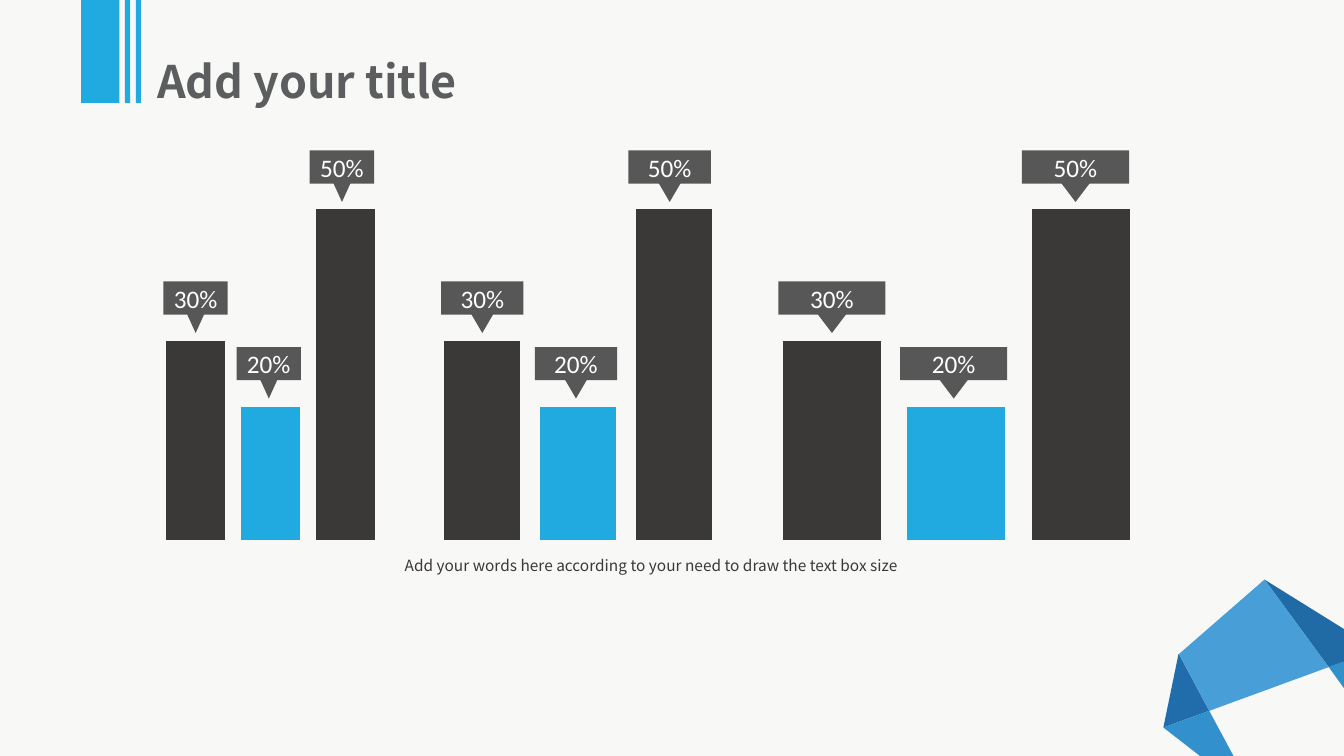
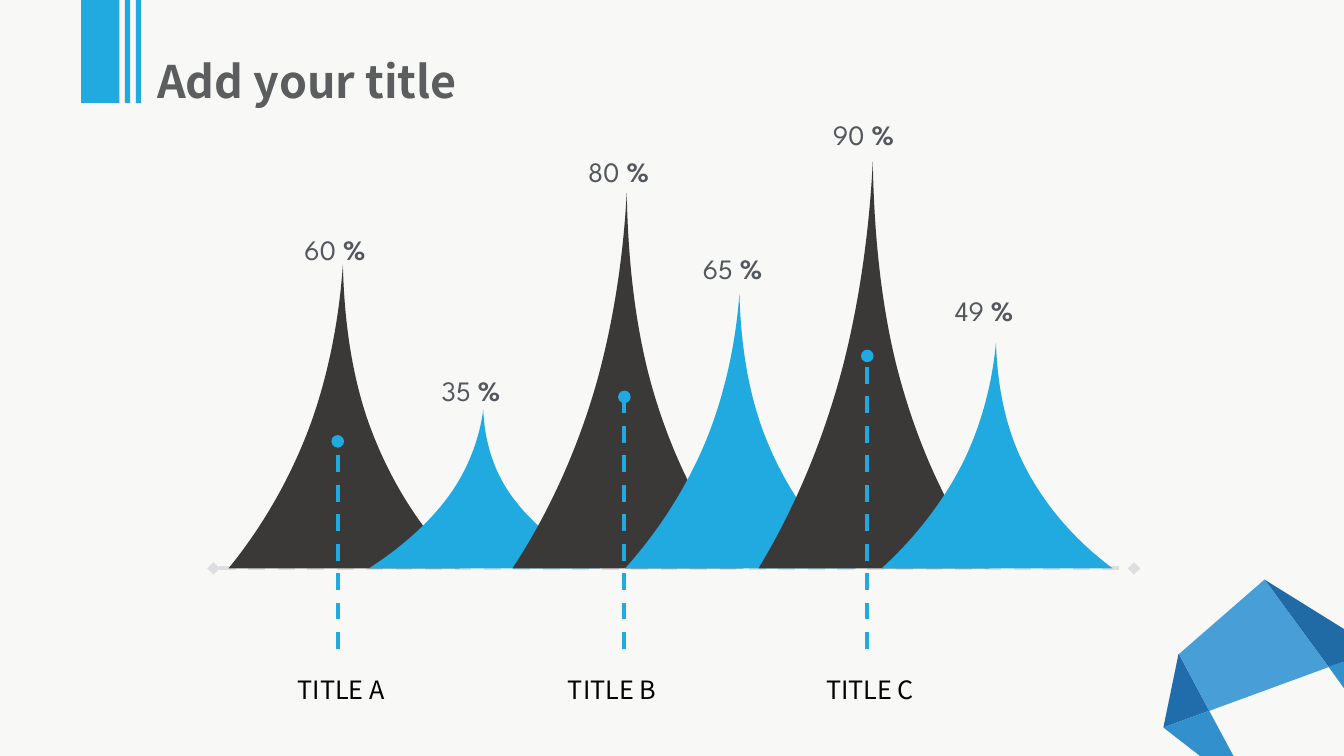
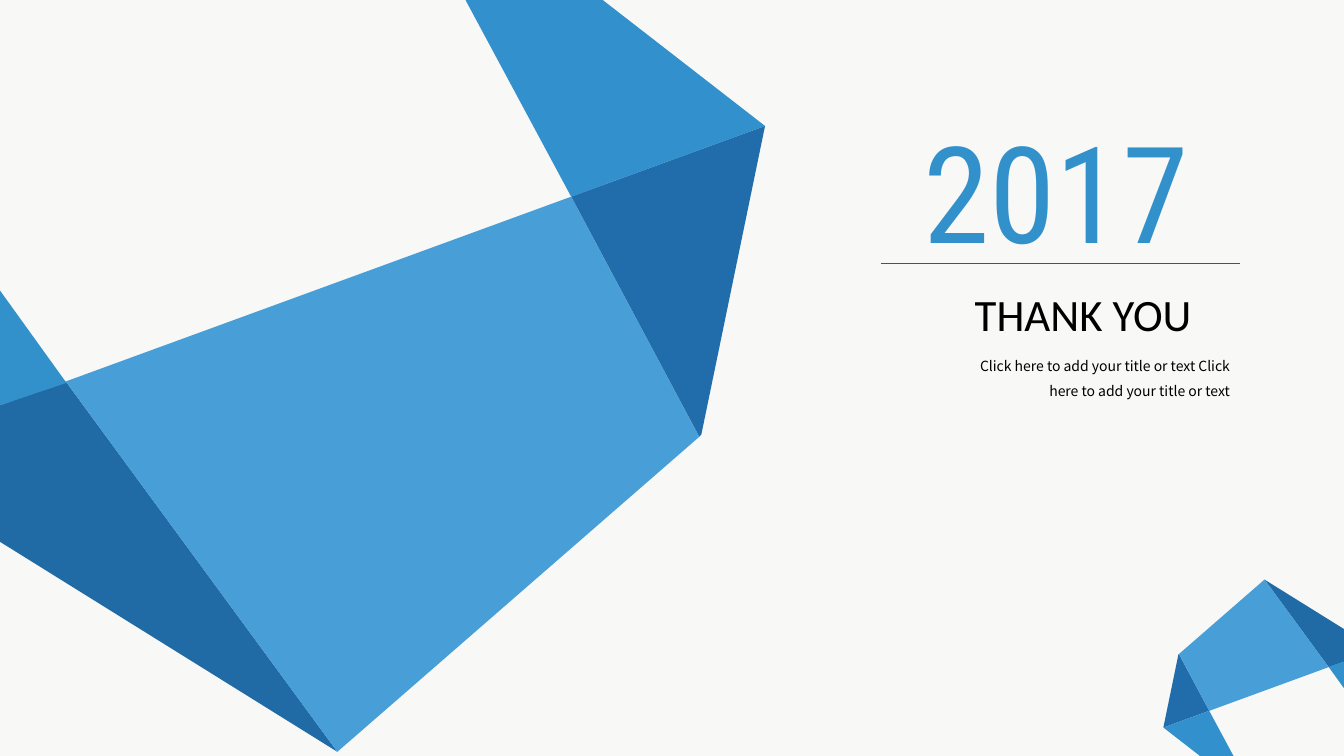
from lxml import etree
from pptx import Presentation
from pptx.chart import data
from pptx.dml.color import RGBColor
from pptx.enum import chart as charts, dml, shapes, text
from pptx.oxml import ns
from pptx.util import Pt

SLIDE_W, SLIDE_H = 960, 540
PAPER, DARK, CYAN, GREY, BLUE = "F8F8F6", "3B3838", "21AAE0", "575757", "3291CA"
BLACK, WHITE = "000000", "FFFFFF"
SANS, LATIN, ROUND, NARROW = "Noto Sans CJK SC", "Calibri", "League Spartan", "Roboto Condensed"
LEFT, CENTER = text.PP_ALIGN.LEFT, text.PP_ALIGN.CENTER

# Folds of the paper ribbon at full size: colour and corner points
RIBBON = [
    ("216DAB", [(546.5, 90), (501, 310.5), (499.5, 312), (408, 140.5)]),
    ("206BA5", [(47, 272.5), (241, 537), (0, 387), (0, 289.5)]),
    ("3290CD", [(332.5, 0), (430.5, 0), (546.5, 90), (408, 140.5)]),
    ("489ED7", [(408, 140.5), (499.5, 312), (241, 537), (47, 272.5)]),
    (BLUE, [(0, 207.5), (47.5, 273.5), (0, 289.5)]),
]

# Peak outline in a unit box: corners from the tip clockwise back to the tip,
# and the two Bézier handles of each side (none for the straight base)
PEAK_CORNERS = [(0.495, 0), (0.6, 0.507), (1, 1), (0, 1), (0.367, 0.5), (0.495, 0)]
PEAK_HANDLES = [
    [(0.5, 0.175), (0.53, 0.35)],
    [(0.69, 0.705), (0.83, 0.87)],
    None,
    [(0.15, 0.86), (0.28, 0.69)],
    [(0.437, 0.344), (0.48, 0.172)],
]

# Peaks: percent, left, top, label left, label top
PEAKS = [
    (60, 163.25, 188.75, 214.5, 160.5),
    (35, 263.5, 292.5, 312.5, 261),
    (80, 366, 137.75, 417, 104.5),
    (65, 446.5, 209.5, 499, 173.75),
    (90, 541.75, 115.25, 592, 78.5),
    (49, 629.75, 244.5, 679, 204.25),
]
# Pointers: title, line position, line top, title centre
POINTERS = [
    ("TITLE A", 241.25, 315.25, 243.75),
    ("TITLE B", 446, 283.5, 437.25),
    ("TITLE C", 619.5, 254.25, 621.5),
]


def rgb(hex_code):
    return RGBColor.from_string(hex_code)


def paint(shape, color=None):
    shape.shadow.inherit = False
    shape.line.fill.background()
    if color:
        shape.fill.solid()
        shape.fill.fore_color.rgb = rgb(color)
    else:
        shape.fill.background()


def add_box(slide, kind, left, top, width, height, color):
    box = slide.shapes.add_shape(kind, Pt(left), Pt(top), Pt(width), Pt(height))
    paint(box, color)
    return box


def add_outline(slide, points, color=None):
    corners = [(Pt(x), Pt(y)) for x, y in points]
    builder = slide.shapes.build_freeform(*corners[0], scale=1.0)
    builder.add_line_segments(corners[1:], close=True)
    outline = builder.convert_to_shape()
    paint(outline, color)
    return outline


def add_line(slide, start, end, color, weight, dashed=False, head=None, tail=None):
    line = slide.shapes.add_connector(
        shapes.MSO_CONNECTOR.STRAIGHT, *(Pt(v) for v in (*start, *end)))
    line.line.color.rgb = rgb(color)
    line.line.width = Pt(weight)
    if dashed:
        line.line.dash_style = dml.MSO_LINE.DASH
    properties = line._element.spPr
    stroke = properties.find(ns.qn("a:ln"))
    for tag, arrow in (("a:headEnd", head), ("a:tailEnd", tail)):
        if arrow:
            etree.SubElement(stroke, ns.qn(tag), type=arrow)
    etree.SubElement(properties, ns.qn("a:effectLst"))


def write(frame, words, font, size, color, align=LEFT, spacing=None, bold=False,
          inset=None, anchor=text.MSO_ANCHOR.TOP):
    """Fill a text frame with one paragraph and return it."""
    frame.word_wrap = True
    frame.vertical_anchor = anchor
    if inset is not None:
        frame.margin_left = frame.margin_right = Pt(inset)
        frame.margin_top = frame.margin_bottom = Pt(inset)
    line = frame.paragraphs[0]
    line.text = words
    line.alignment = align
    if spacing:
        line.line_spacing = spacing
    line.font.name, line.font.size, line.font.bold = font, Pt(size), bold
    line.font.color.rgb = rgb(color)
    return line


def add_text(slide, left, top, width, height, *args, **style):
    box = slide.shapes.add_textbox(Pt(left), Pt(top), Pt(width), Pt(height))
    return write(box.text_frame, *args, **style)


# Shared parts
def add_ribbon(slide, left, top, scale):
    """A negative scale turns the ribbon half way round its origin."""
    for color, points in RIBBON:
        add_outline(slide, [(left + scale * x, top + scale * y) for x, y in points], color)


def add_corner_ribbon(slide):
    add_ribbon(slide, SLIDE_W + 0.25, SLIDE_H + 1, -0.2365)


def add_slide(prs):
    return prs.slides.add_slide(prs.slide_layouts[6])


def add_titled_slide(prs, title):
    slide = add_slide(prs)
    add_corner_ribbon(slide)
    add_text(slide, 112.25, 30.5, 286, 47, title, SANS, 32, "5C5D5F",
             spacing=1.2, bold=True, inset=0)
    for left, width in ((58, 27.25), (89.25, 3.75), (97, 3.75)):
        add_box(slide, shapes.MSO_SHAPE.RECTANGLE, left, 0, width, 73.5, CYAN)
    return slide


# Column charts
def add_callout(slide, left, top, width, words):
    pointer_w = width * 0.515
    pointer = add_box(slide, shapes.MSO_SHAPE.ISOSCELES_TRIANGLE,
                      left + (width - pointer_w) / 2, top + 10.75, pointer_w, 26, GREY)
    pointer.rotation = 180
    label = add_box(slide, shapes.MSO_SHAPE.RECTANGLE, left, top, width, 23.75, GREY)
    write(label.text_frame, words, LATIN, 18, WHITE, CENTER,
          inset=0, anchor=text.MSO_ANCHOR.MIDDLE)


def add_columns(slide, left, top, width, height):
    values = (60, 40, 100)
    chart_data = data.CategoryChartData()
    chart_data.categories = ["1"]
    for number, value in enumerate(values, 1):
        chart_data.add_series(f"Series {number}", [value])
    chart = slide.shapes.add_chart(
        charts.XL_CHART_TYPE.COLUMN_CLUSTERED,
        Pt(left), Pt(top), Pt(width), Pt(height), chart_data).chart
    chart.has_legend = chart.has_title = False
    chart.font.name, chart.font.size = LATIN, Pt(10)
    chart.font.color.rgb = rgb(BLACK)
    chart.value_axis.minimum_scale, chart.value_axis.maximum_scale = 0, 120
    chart.value_axis.has_major_gridlines = False
    chart.value_axis.visible = chart.category_axis.visible = False
    plot = chart.plots[0]
    plot.gap_width, plot.overlap, plot.vary_by_categories = 219, -27, False
    for series, color in zip(plot.series, (DARK, CYAN, DARK)):
        series.format.fill.solid()
        series.format.fill.fore_color.rgb = rgb(color)

    for column, value in enumerate(values):
        add_callout(slide, left + width * (0.196 + 0.208 * column),
                    top + 11.75 + 2.34 * (100 - value), width * 0.183, f"{value // 2}%")


def build_columns_slide(prs):
    slide = add_titled_slide(prs, "Add your title")
    for left, width in ((67.5, 251.25), (252, 321.75), (474, 418.25)):
        add_columns(slide, left, 95.75, width, 296)
    add_text(slide, 116.75, 389.5, 697, 24.5,
             "Add your words here according to your need to draw the text box size",
             SANS, 11, DARK, CENTER, spacing=1.3)


# Peaks
def add_peak(slide, left, top, width, height, color):
    peak = add_outline(slide, [(left + width * x, top + height * y)
                               for x, y in PEAK_CORNERS], color)
    # Bend the flanks: each line to a corner becomes a curve with two handles
    sides = list(peak._element.iter(ns.qn("a:lnTo")))
    for side, handles in zip(sides, PEAK_HANDLES):
        if handles:
            side.tag = ns.qn("a:cubicBezTo")
            for position, (x, y) in enumerate(handles):
                point = etree.Element(ns.qn("a:pt"), x=str(Pt(width * x)), y=str(Pt(height * y)))
                side.insert(position, point)


def add_label(slide, left, top, width, height, *args, **style):
    right, bottom = left + width, top + height
    label = add_outline(slide, [(left, top), (right, top), (right, bottom), (left, bottom)])
    return write(label.text_frame, *args, spacing=1.3, inset=3,
                 anchor=text.MSO_ANCHOR.MIDDLE, **style)


def build_peaks_slide(prs):
    slide = add_titled_slide(prs, "Add your title")
    base = 406
    add_line(slide, (152.5, base), (810, base), "DCDEE0", 3, True, "diamond", "diamond")
    for index, (_, left, top, _, _) in enumerate(PEAKS):
        add_peak(slide, left, top, 165, base - top, (DARK, CYAN)[index % 2])
    for percent, _, _, left, top in PEAKS:
        label = add_label(slide, left, top, 68, 28, f"{percent} ", ROUND, 20, "53585F")
        sign = label.add_run()
        sign.text = "%"
        sign.font.bold = True
    for title, x, top, center in POINTERS:
        add_label(slide, center - 52.5, 475.5, 105, 28, title, SANS, 18, BLACK, align=CENTER)
        add_line(slide, (x, 463.5), (x, top), CYAN, 3, True, tail="oval")


# Closing slide
def build_closing_slide(prs):
    slide = add_slide(prs)
    add_ribbon(slide, 0, 0, 1)
    add_corner_ribbon(slide)
    add_text(slide, 652.5, 74.5, 242.5, 124, "2017", NARROW, 96, BLUE, text.PP_ALIGN.JUSTIFY)
    add_line(slide, (629.5, 188), (885.5, 188), "4E5255", 0.5)
    add_text(slide, 647.5, 201, 252.5, 46, "THANK YOU", LATIN, 32, BLACK, CENTER)
    add_text(slide, 675.5, 245.5, 210, 43,
             "Click here to add your title or text Click here to add your title or text",
             SANS, 10, BLACK, text.PP_ALIGN.RIGHT, spacing=1.5)


def main():
    prs = Presentation()
    prs.slide_width, prs.slide_height = Pt(SLIDE_W), Pt(SLIDE_H)
    backdrop = prs.slide_master.background.fill
    backdrop.solid()
    backdrop.fore_color.rgb = rgb(PAPER)
    build_columns_slide(prs)
    build_peaks_slide(prs)
    build_closing_slide(prs)
    prs.save("out.pptx")


if __name__ == "__main__":
    main()
